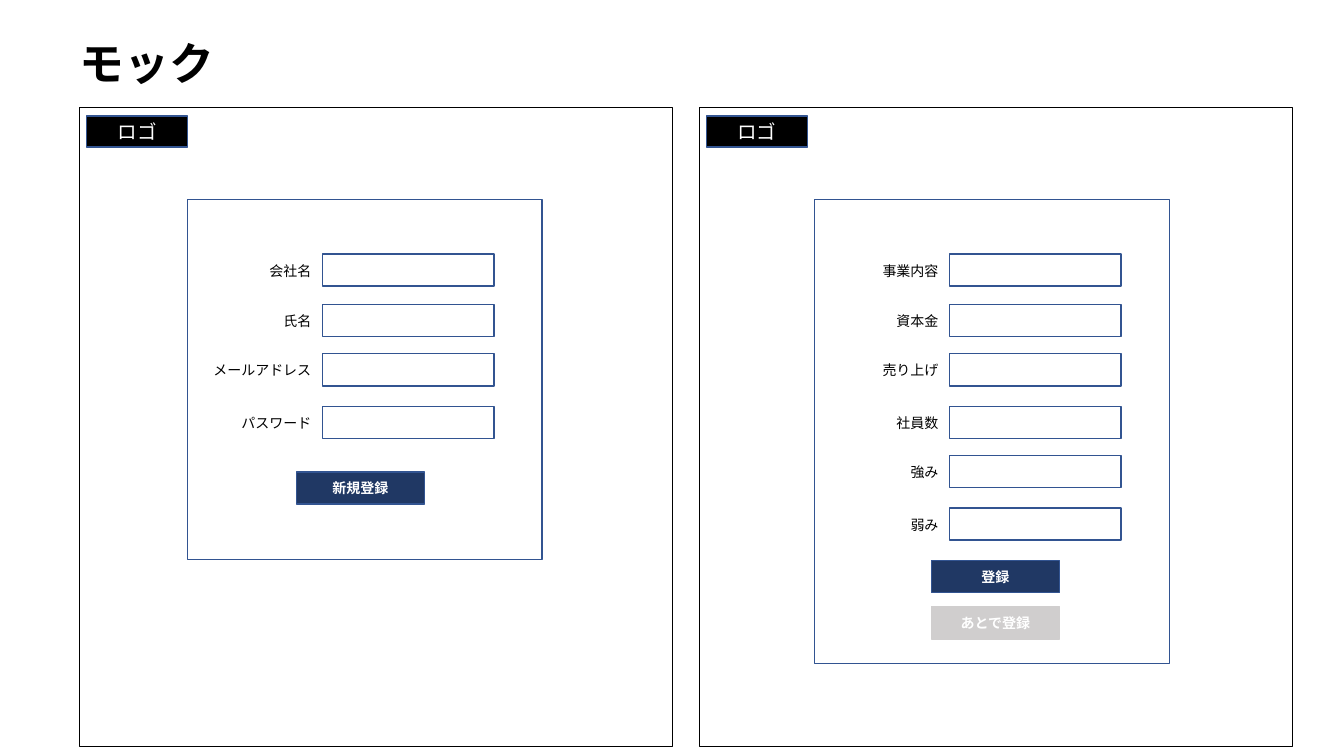
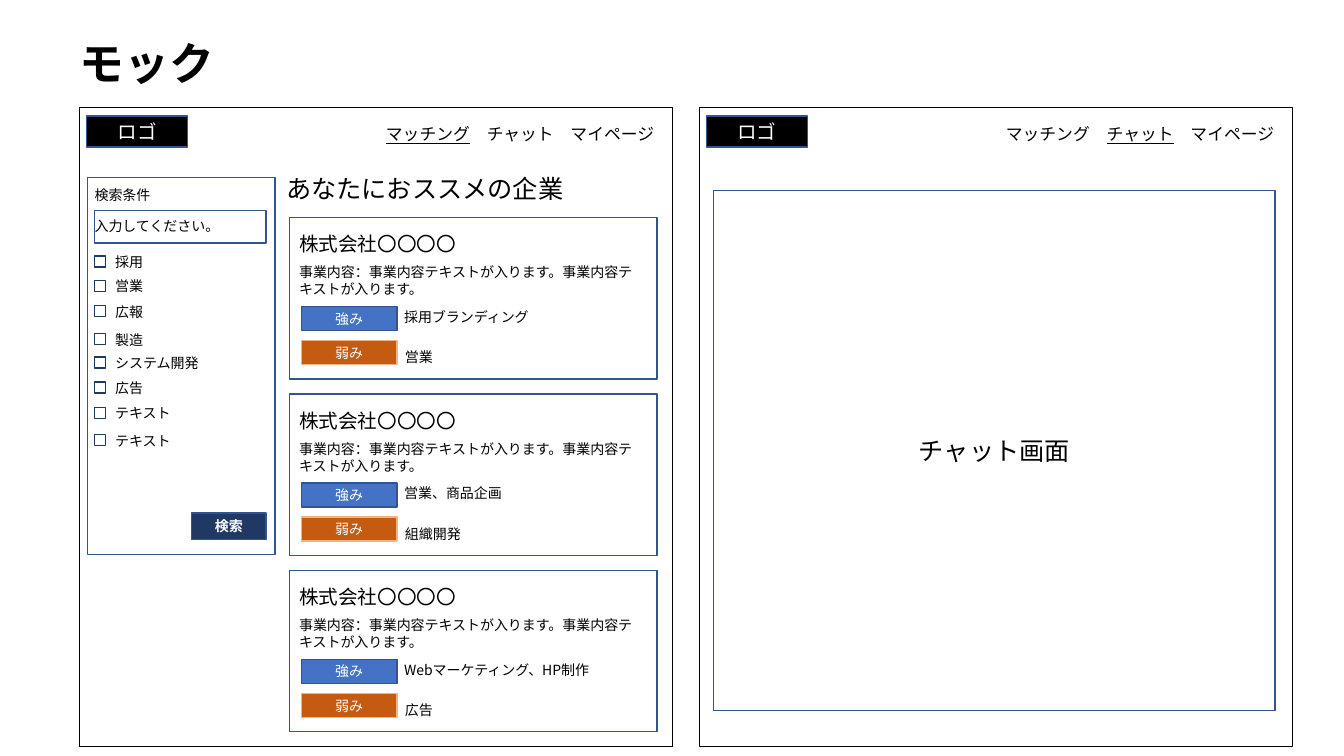
import pptx
import pptx.util
import pptx.dml.color
import pptx.enum.shapes
import pptx.enum.text
import lxml.etree

HEAD = "モック"
LOGO = "ロゴ"
FONT = "Noto Sans CJK JP"
HUES = {
    "ink": "000000", "paper": "FFFFFF", "edge": "325491", "navy": "203864",
    "grey": "D0CECE", "blue": "4472C4", "rust": "C55A11", "peach": "F4B183",
}
TOPS = [181.4, 217.4, 252.7, 290.2, 325.4, 362.9]
FORMS = [
    {"left": 133.9, "high": 257,
     "rows": ["会社名", "氏名", "メールアドレス", "パスワード"],
     "keys": [("新規登録", 211.7, 337, "navy", "edge")]},
    {"left": 581.8, "high": 331.2,
     "rows": ["事業内容", "資本金", "売り上げ", "社員数", "強み", "弱み"],
     "keys": [("登録", 665.3, 400.3, "navy", "edge"),
              ("あとで登録", 665.3, 433.4, "grey", "grey")]},
]
MENU = ["マッチング", "チャット", "マイページ"]
CHECKS = [
    ("採用", 182.9), ("営業", 200.2), ("広報", 218.2), ("製造", 238.3),
    ("システム開発", 254.9), ("広告", 272.9), ("テキスト", 290.9), ("テキスト", 310.3),
]
FIRM = "株式会社〇〇〇〇"
ABOUT = "事業内容：事業内容テキストが入ります。事業内容テキストが入ります。"
CARDS = [
    ("採用ブランディング", "営業"),
    ("営業、商品企画", "組織開発"),
    ("WebマーケティングR、HP制作".replace("R", ""), "広告"),
]
PANES = [56.9, 499.7]

Pt = pptx.util.Pt
ALIGN = pptx.enum.text.PP_ALIGN
ANCHOR = pptx.enum.text.MSO_ANCHOR
AUTO = pptx.enum.text.MSO_AUTO_SIZE
RECT = pptx.enum.shapes.MSO_SHAPE.RECTANGLE


def tint(hue):
    return pptx.dml.color.RGBColor.from_string(HUES[hue])


def style(run, size, hue="ink", bold=False):
    font = run.font
    font.size, font.bold, font.name = Pt(size), bold, FONT
    font.color.rgb = tint(hue)
    tag = pptx.oxml.ns.qn("a:ea")
    lxml.etree.SubElement(run._r.get_or_add_rPr(), tag).set("typeface", FONT)


def box(page, x, y, w, h, fill="paper", line="edge", wide=1,
        text="", size=10, hue="paper", bold=False):
    item = page.shapes.add_shape(RECT, Pt(x), Pt(y), Pt(w), Pt(h))
    item.shadow.inherit = False
    if fill:
        item.fill.solid()
        item.fill.fore_color.rgb = tint(fill)
    else:
        item.fill.background()
    item.line.color.rgb = tint(line)
    item.line.width = Pt(wide)
    if text:
        frame = item.text_frame
        frame.text = text
        frame.vertical_anchor = ANCHOR.MIDDLE
        para = frame.paragraphs[0]
        para.alignment = ALIGN.CENTER
        style(para.runs[0], size, hue, bold)


def span(text, size):
    return 15 + sum(size if ord(sign) > 255 else size * 0.72 for sign in text)


def label(page, x, y, text, size=10, wide=None, high=None, wrap=False):
    wide = wide or span(text, size)
    high = high or size * 1.2 + 7.2
    item = page.shapes.add_textbox(Pt(x), Pt(y), Pt(wide), Pt(high))
    frame = item.text_frame
    frame.text = text
    frame.word_wrap = wrap
    frame.auto_size = AUTO.SHAPE_TO_FIT_TEXT
    style(frame.paragraphs[0].runs[0], size)
    return frame


def start(deck):
    page = deck.slides.add_slide(deck.slide_layouts[6])
    frame = label(page, 49.7, 17.3, HEAD, 32, 828, 59, True)
    frame.auto_size = AUTO.NONE
    frame.vertical_anchor = ANCHOR.MIDDLE
    para = frame.paragraphs[0]
    para.line_spacing = 0.9
    para.runs[0].font.bold = True
    for left in PANES:
        box(page, left, 76.3, 423.4, 456.5, None, "ink", 0.25)
        box(page, left + 5, 82.8, 72, 22.3, "ink", text=LOGO, size=14)
    return page


def form(page, left, high, rows, keys):
    box(page, left, 142.6, 253.4, high)
    edge = left + 96.5
    for text, top in zip(rows, TOPS):
        label(page, edge - span(text, 10), top + 2.2, text)
        box(page, edge, top, 122.4, 23)
    for text, x, y, fill, line in keys:
        box(page, x, y, 91.4, 23, fill, line, text=text, bold=True)


def menu(page, left, live):
    gap = "\u3000"
    frame = label(page, left + 211.7, 85, gap.join(MENU), 12)
    para = frame.paragraphs[0]
    para.clear()
    for i, text in enumerate(MENU):
        for part in ([gap] if i else []) + [text]:
            run = para.add_run()
            run.text = part
            style(run, 12)
            run.font.underline = part == live


def card(page, x, y, good, weak):
    box(page, x, y, 262.8, 115.2)
    label(page, x, y + 6.8, FIRM, 14)
    box(page, x + 8.6, y + 63.4, 68.4, 17.3, "blue", text="強み")
    box(page, x + 8.6, y + 87.8, 68.4, 17.3, "rust", "peach", text="弱み")
    label(page, x, y + 29.5, ABOUT, wide=256.3, high=31.7, wrap=True)
    label(page, x + 75, y + 61.2, good, wrap=True)
    label(page, x + 75.6, y + 90, weak)


def search(page):
    box(page, 62.6, 126.7, 133.9, 269.3)
    label(page, 60.5, 129.6, "検索条件")
    box(page, 67.7, 150.5, 122.4, 23)
    label(page, 60.5, 151.9, "入力してください。")
    for text, top in CHECKS:
        box(page, 67.5, top, 7.9, 7.9, line="navy")
        label(page, 75.2, top - 5.2, text)
    box(page, 136.8, 366.5, 53.3, 18.7, "navy", text="検索", bold=True)


deck = pptx.Presentation()
deck.slide_width, deck.slide_height = Pt(960), Pt(540)

page = start(deck)
for data in FORMS:
    form(page, **data)

page = start(deck)
for left, live in zip(PANES, MENU):
    menu(page, left, live)
search(page)
label(page, 197.3, 120.2, "あなたにおススメの企業", 18)
for i, (good, weak) in enumerate(CARDS):
    card(page, 206.6, 155.5 + 126 * i, good, weak)
box(page, 509.8, 136.1, 401, 371.5, text="チャット画面", size=18, hue="ink")

deck.save("out.pptx")
